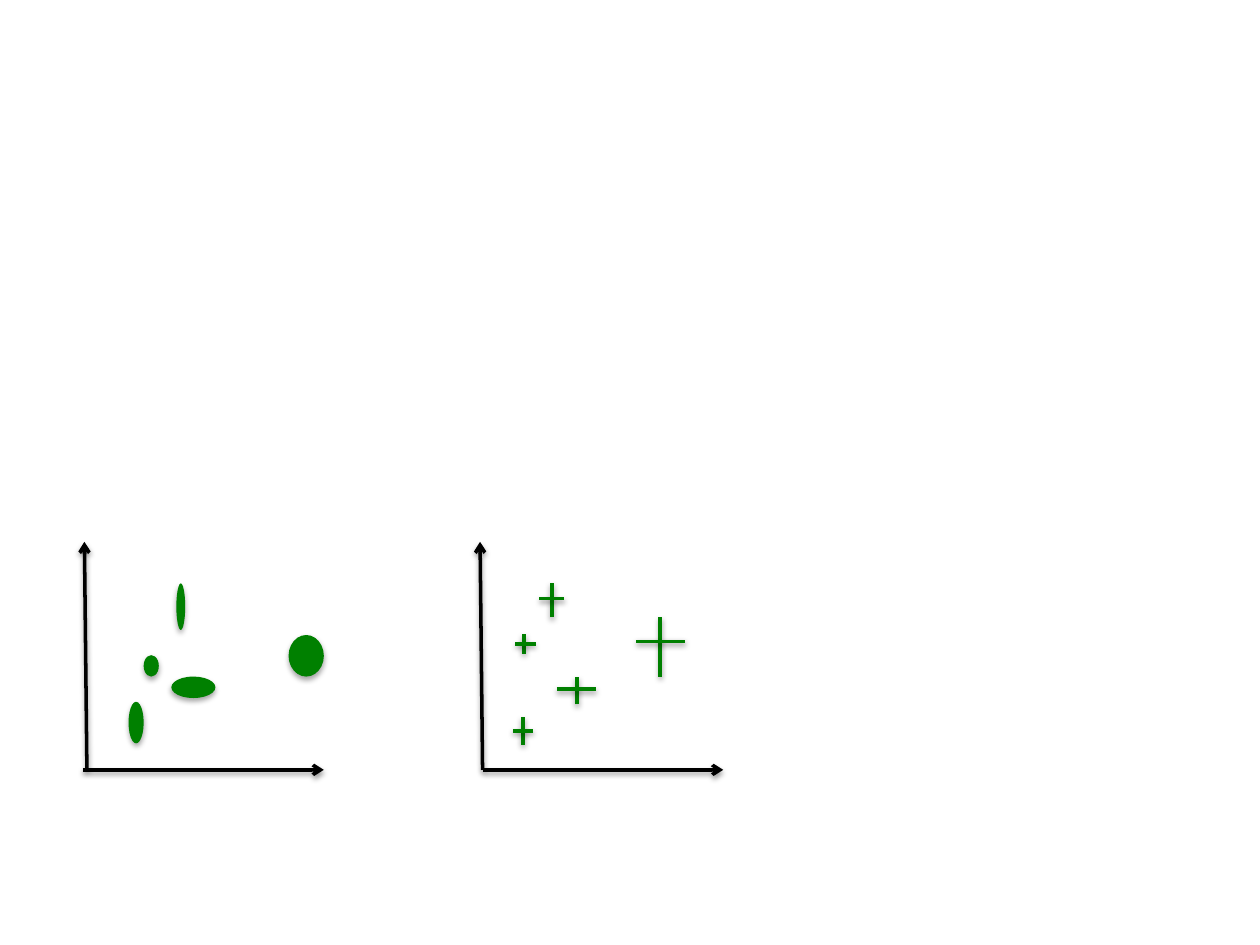
from typing import NamedTuple

from lxml.etree import SubElement as Sub
from pptx import Presentation
from pptx.dml.color import RGBColor
from pptx.enum.shapes import MSO_CONNECTOR as Link, MSO_SHAPE as Kind
from pptx.oxml.ns import qn
from pptx.util import Inches, Pt

BLACK = RGBColor(0x00, 0x00, 0x00)
GREEN = RGBColor(0x00, 0x80, 0x00)


class Oval(NamedTuple):
    left: float
    top: float
    width: float
    height: float


class Line(NamedTuple):
    x1: float
    y1: float
    x2: float
    y2: float


class Cross(NamedTuple):
    x: float
    y: float
    left: float
    right: float
    top: float
    low: float


OVALS = [
    Oval(1.02, 5.57, 0.12, 0.33),
    Oval(1.14, 5.2, 0.12, 0.17),
    Oval(1.36, 5.37, 0.35, 0.17),
    Oval(1.4, 4.63, 0.07, 0.37),
    Oval(2.29, 5.04, 0.28, 0.33),
]
AXES = [
    Line(0.69, 6.11, 0.67, 4.3),
    Line(3.83, 6.11, 3.81, 4.3),
    Line(0.66, 6.11, 2.57, 6.11),
    Line(3.83, 6.11, 5.74, 6.11),
]
MARKS = [
    Cross(4.38, 4.75, 4.28, 4.48, 4.63, 4.9),
    Cross(5.24, 5.09, 5.05, 5.44, 4.9, 5.37),
    Cross(4.15, 5.8, 4.07, 4.23, 5.69, 5.91),
    Cross(4.16, 5.11, 4.09, 4.25, 5.03, 5.19),
    Cross(4.58, 5.47, 4.42, 4.73, 5.37, 5.59),
]


def add_shade(props, gap: float, alpha: int) -> None:
    """Add a soft shadow that falls straight down."""
    effects = Sub(props, qn("a:effectLst"))
    shade = Sub(effects, qn("a:outerShdw"), blurRad=str(Pt(3.1)),
                dist=str(Pt(gap)), dir="5400000", rotWithShape="0")
    color = Sub(shade, qn("a:srgbClr"), val=str(BLACK))
    Sub(color, qn("a:alpha"), val=str(alpha * 1000))


def add_oval(shapes, oval: Oval) -> None:
    shape = shapes.add_shape(Kind.OVAL, *map(Inches, oval))
    shape.fill.solid()
    shape.fill.fore_color.rgb = GREEN
    shape.line.fill.background()
    add_shade(shape._element.spPr, 1.8, 35)


def add_line(shapes, line: Line, color: RGBColor, arrow: bool = False) -> None:
    link = shapes.add_connector(Link.STRAIGHT, *map(Inches, line))
    link.line.color.rgb = color
    link.line.width = Pt(2)
    props = link._element.spPr
    if arrow:
        Sub(props.find(qn("a:ln")), qn("a:tailEnd"), type="arrow")
    add_shade(props, 1.6, 38)


deck = Presentation()
deck.slide_width, deck.slide_height = Inches(10), Inches(7.5)
slide = deck.slides.add_slide(deck.slide_layouts[6])
shapes = slide.shapes.add_group_shape().shapes

# Left plot: points with uncertainty drawn as ellipses
for oval in OVALS:
    add_oval(shapes, oval)

# Axes of both plots
for axis in AXES:
    add_line(shapes, axis, BLACK, arrow=True)

# Right plot: points with error bars
for mark in MARKS:
    add_line(shapes, Line(mark.x, mark.low, mark.x, mark.top), GREEN)
    add_line(shapes, Line(mark.left, mark.y, mark.right, mark.y), GREEN)

deck.save("out.pptx")
